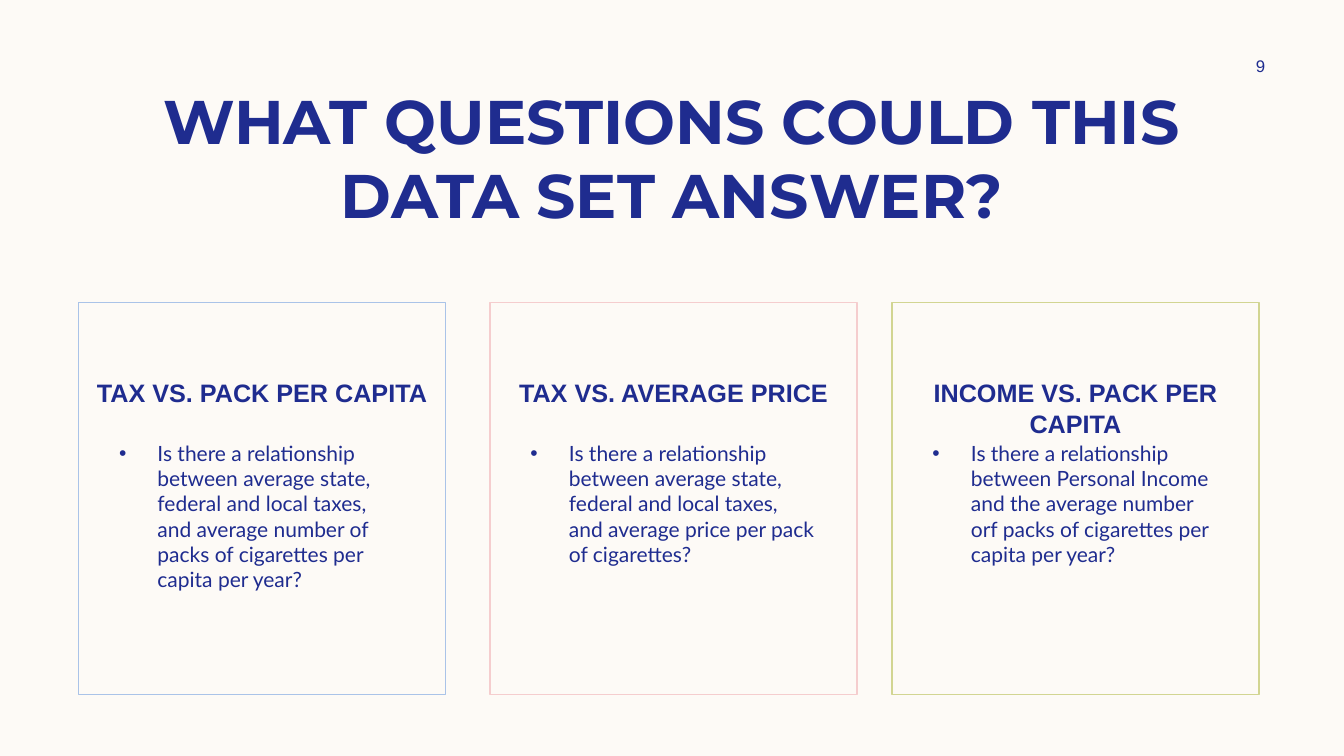
from lxml import etree
from pptx import Presentation, util as u
from pptx.dml.color import RGBColor
from pptx.enum import shapes, text
from pptx.oxml.ns import qn

NAVY = "1F2C8F"
CARD_TOP, CARD_WIDTH, CARD_HEIGHT = 7.62, 9.25, 9.88
CARDS = [
    (1.98, "AAC3E8", "TAX VS. PACK PER CAPITA",
     "Is there a relationship between average state, federal and local taxes, "
     "and average number of packs of cigarettes per capita per year?"),
    (12.35, "F5CDCE", "TAX VS. AVERAGE PRICE",
     "Is there a relationship between average state, federal and local taxes, "
     "and average price per pack of cigarettes?"),
    (22.48, "D2D592", "INCOME VS. PACK PER CAPITA",
     "Is there a relationship between Personal Income and the average number "
     "orf packs of cigarettes per capita per year?"),
]


def colour(value):
    return RGBColor.from_string(value)


def write(shape, words, font="Arial", size=18, bold=False, align="CENTER",
          anchor="TOP", top=0.13, bullet=False):
    frame = shape.text_frame
    frame.word_wrap = True
    frame.auto_size = text.MSO_AUTO_SIZE.NONE
    frame.vertical_anchor = getattr(text.MSO_ANCHOR, anchor)
    frame.margin_top = u.Cm(top)
    para = frame.paragraphs[0]
    para.alignment = getattr(text.PP_ALIGN, align)
    if bullet:
        add_bullet(para)
    span = para.add_run()
    span.text = words
    span.font.name = font
    span.font.size = u.Pt(size)
    span.font.bold = bold
    span.font.color.rgb = colour(NAVY)


def add_bullet(para):
    properties = para._p.get_or_add_pPr()
    indent = u.Cm(0.97)
    properties.set("marL", str(indent))
    properties.set("indent", str(-indent))
    etree.SubElement(properties, qn("a:buFont")).set("typeface", "Arial")
    etree.SubElement(properties, qn("a:buChar")).set("char", "•")


def add_title(page, left, top, width, height):
    title = page.shapes.title
    title.left, title.top = u.Cm(left), u.Cm(top)
    title.width, title.height = u.Cm(width), u.Cm(height)
    write(title, "WHAT QUESTIONS COULD THIS DATA SET ANSWER?",
          font="Montserrat", size=44, bold=True)


def add_page_number(page, left, top, width, height):
    box = page.shapes.add_textbox(u.Cm(left), u.Cm(top), u.Cm(width), u.Cm(height))
    write(box, "9", size=12, anchor="MIDDLE")


def add_card(page, left, top, width, height, outline, heading, question):
    card = page.shapes.add_shape(shapes.MSO_SHAPE.RECTANGLE, u.Cm(left), u.Cm(top),
                                 u.Cm(width), u.Cm(height))
    card.shadow.inherit = False
    card.fill.background()
    card.line.color.rgb = colour(outline)
    card.line.width = u.Pt(1)
    write(card, heading, bold=True, top=1.9)

    side, drop, foot = 0.77, 3.35, 0.41
    box = page.shapes.add_textbox(u.Cm(left + side), u.Cm(top + drop),
                                  u.Cm(width - 2 * side), u.Cm(height - drop - foot))
    write(box, question, font="Lato", size=15, align="LEFT", bullet=True)


def add_questions_slide(deck):
    page = deck.slides.add_slide(deck.slide_layouts.get_by_name("Title Only"))
    page.background.fill.solid()
    page.background.fill.fore_color.rgb = colour("FDFAF6")
    add_title(page, 2.11, 1.96, 29.64, 3.61)
    add_page_number(page, 30.4, 1.27, 2.74, 0.76)
    for left, outline, heading, question in CARDS:
        add_card(page, left, CARD_TOP, CARD_WIDTH, CARD_HEIGHT, outline, heading, question)


def main():
    deck = Presentation()
    deck.slide_width, deck.slide_height = u.Cm(33.87), u.Cm(19.05)
    add_questions_slide(deck)
    deck.save("out.pptx")


if __name__ == "__main__":
    main()
